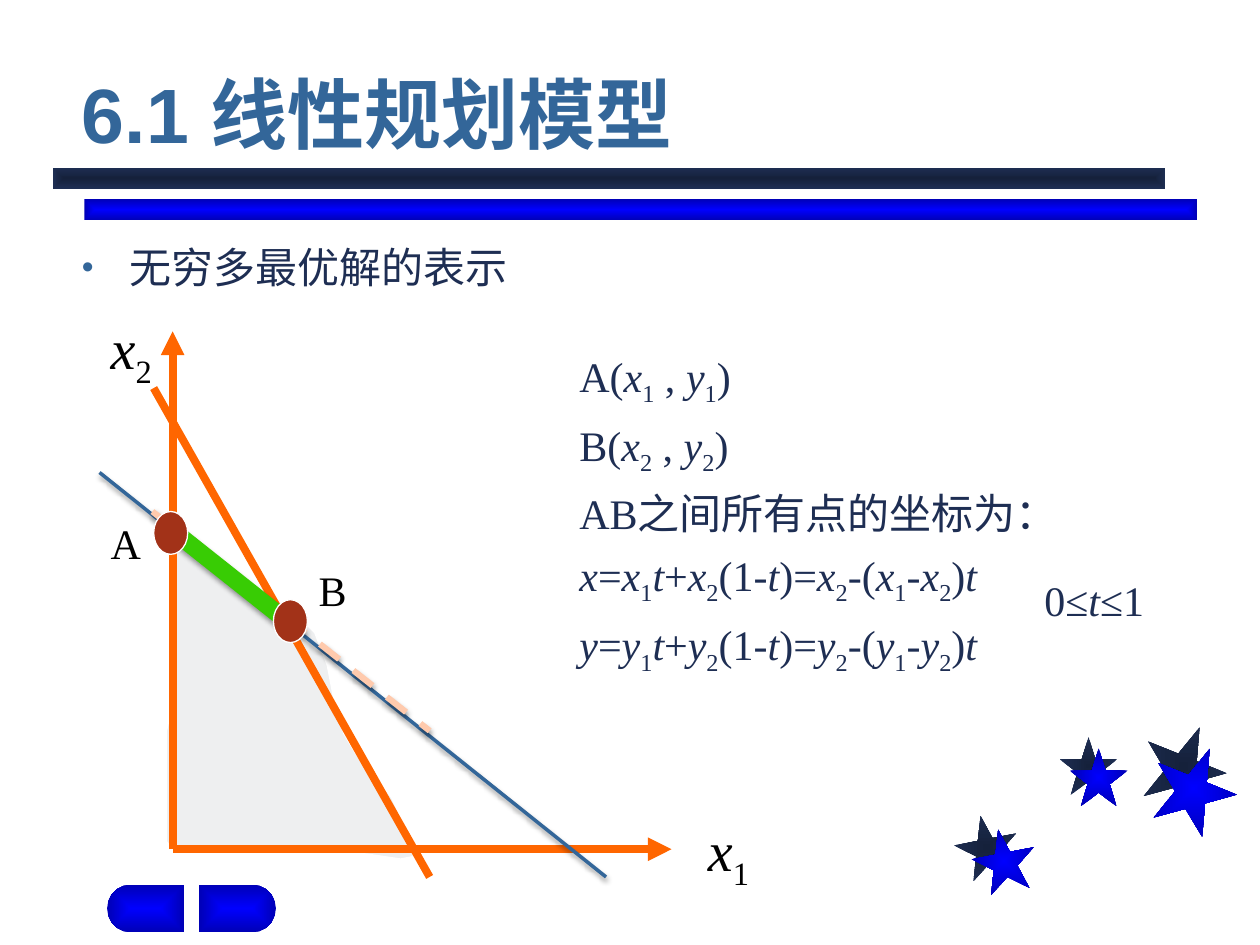
from dataclasses import dataclass
from itertools import groupby
from math import cos, pi, sin

from lxml.etree import SubElement as Sub
from pptx import Presentation
from pptx.dml.color import RGBColor as Rgb
from pptx.enum.dml import MSO_LINE as Dash
from pptx.enum.shapes import MSO_CONNECTOR as Link, MSO_SHAPE as Kind
from pptx.enum.text import MSO_ANCHOR as Anchor, MSO_AUTO_SIZE as Fit, PP_ALIGN as Align
from pptx.oxml.ns import qn
from pptx.util import Inches, Pt


@dataclass(frozen=True)
class Theme:
    """Colours, fonts and type sizes."""
    navy: str = "1E2E53"
    night: tuple = ("15213B", "1E2E53")
    royal: tuple = ("0000FF", "0000B6")
    steel: str = "336699"
    orange: str = "FF6600"
    peach: str = "FFCAAD"
    green: str = "38CC04"
    brick: str = "A23218"
    mist: str = "EEEFF0"
    white: str = "FFFFFF"
    black: str = "000000"
    sans: str = "Arial"
    serif: str = "Times New Roman"
    head: int = 44
    axis: int = 32
    body: int = 24


def tint(color, code):
    """Set a colour from its hex code."""
    color.rgb = Rgb.from_string(code)


def runs(text):
    """Split text into plain, italic (x, y, t) and lowered (_n) pieces."""
    marks, low = [], False
    for char in text:
        if char == "_":
            low = True
            continue
        marks.append((char, "low" if low else "var" if char in "xyt" else ""))
        low = False
    for kind, group in groupby(marks, key=lambda mark: mark[1]):
        yield "".join(char for char, _ in group), kind


def write(frame, text, size, color, font, bold=False, lead=None, gap=0, dot=None):
    """Fill a text frame, one paragraph a line."""
    for num, line in enumerate(text.split("\n")):
        para = frame.add_paragraph() if num else frame.paragraphs[0]
        para.alignment = Align.LEFT
        if lead:
            para.line_spacing = lead
        para.space_before = Pt(gap if num else 0)
        if dot:
            props = para._p.get_or_add_pPr()
            props.set("marL", str(Inches(0.38)))
            props.set("indent", str(-Inches(0.38)))
            Sub(Sub(props, qn("a:buClr")), qn("a:srgbClr"), val=dot)
            Sub(props, qn("a:buSzPct"), val="80000")
            Sub(props, qn("a:buChar"), char="•")
        for part, kind in runs(line):
            run = para.add_run()
            run.text = part
            run.font.name, run.font.size = font, Pt(size)
            run.font.bold, run.font.italic = bold, kind == "var"
            tint(run.font.color, color)
            if kind == "low":
                run._r.get_or_add_rPr().set("baseline", "-25000")


class Board:
    """Style and current slide, on a grid of 10 columns by 7.5 rows."""

    def __init__(self, deck, theme):
        """Add a slide and keep its grid."""
        self.theme = theme
        self.slide = deck.slides.add_slide(deck.slide_layouts[1])
        self.shapes = self.slide.shapes
        self.col, self.row = deck.slide_width / 10, deck.slide_height / 7.5

    def at(self, *cells):
        """Turn column and row pairs into lengths."""
        return [round(cell * (self.row if num % 2 else self.col))
                for num, cell in enumerate(cells)]

    def paint(self, shape, fill, edge=None, width=0.75):
        """Fill a shape flat, or from its centre outwards."""
        shape.shadow.inherit = False
        if isinstance(fill, tuple):
            shape.fill.gradient()
            for stop, code in zip(shape.fill.gradient_stops, fill):
                tint(stop.color, code)
            grad = shape._element.spPr.find(qn("a:gradFill"))
            grad.remove(grad.find(qn("a:lin")))
            way = Sub(grad, qn("a:path"), path="rect")
            Sub(way, qn("a:fillToRect"), l="50000", t="50000", r="50000", b="50000")
        else:
            shape.fill.solid()
            tint(shape.fill.fore_color, fill)
        if edge:
            tint(shape.line.color, edge)
            shape.line.width = Pt(width)
        else:
            shape.line.fill.background()

    def shape(self, kind, box, fill, turn=0, edge=None):
        """Draw a preset shape."""
        item = self.shapes.add_shape(kind, *self.at(*box))
        item.rotation = turn
        self.paint(item, fill, edge)

    def free(self, dots, fill, edge=None):
        """Draw a closed outline."""
        spots = [self.at(*dot) for dot in dots]
        pen = self.shapes.build_freeform(*spots[0])
        pen.add_line_segments(spots[1:], close=True)
        self.paint(pen.convert_to_shape(), fill, edge, 1)

    def line(self, start, end, color, width, dash=None, arrow=False, shade=False):
        """Draw a line, with an arrowhead or a soft shadow if asked."""
        item = self.shapes.add_connector(Link.STRAIGHT, *self.at(*start, *end))
        tint(item.line.color, color)
        item.line.width = Pt(width)
        if dash:
            item.line.dash_style = dash
        props = item._element.spPr
        if arrow:
            Sub(props.find(qn("a:ln")), qn("a:tailEnd"), type="triangle")
        glow = Sub(props, qn("a:effectLst"))
        if shade:
            cast = Sub(glow, qn("a:outerShdw"), blurRad=str(Pt(3.1)),
                       dist=str(Pt(1.6)), dir="5400000", rotWithShape="0")
            tone = Sub(cast, qn("a:srgbClr"), val=self.theme.black)
            Sub(tone, qn("a:alpha"), val="38000")

    def text(self, box, text, wrap=True, **form):
        """Add a text box."""
        frame = self.shapes.add_textbox(*self.at(*box)).text_frame
        frame.word_wrap = wrap
        write(frame, text, **form)

    def hold(self, num, box, text, anchor, **form):
        """Move and fill a placeholder."""
        item = self.slide.placeholders[num]
        item.left, item.top, item.width, item.height = self.at(*box)
        frame = item.text_frame
        frame.auto_size, frame.vertical_anchor = Fit.NONE, anchor
        write(frame, text, **form)


REGION = [
    (1.36, 4.23), (1.36, 5.63), (1.32, 5.8), (1.32, 6.68), (1.36, 6.73),
    (2.2, 6.73), (2.55, 6.75), (2.91, 6.78), (3.18, 6.82), (3.28, 6.8),
    (3.28, 6.71), (3.21, 6.54), (3.11, 6.33), (2.98, 6.16), (2.83, 5.99),
    (2.73, 5.82), (2.65, 5.54), (2.6, 5.28), (2.5, 5.02), (2.42, 4.94),
    (2.33, 4.9), (2.17, 4.85), (1.98, 4.75), (1.82, 4.64), (1.64, 4.49),
    (1.59, 4.4), (1.5, 4.31), (1.47, 4.23), (1.42, 4.21)]

POINTS = """A(x_1 , y_1)
B(x_2 , y_2)
AB之间所有点的坐标为：
x=x_1t+x_2(1-t)=x_2-(x_1-x_2)t
y=y_1t+y_2(1-t)=y_2-(y_1-y_2)t"""


def frame(board):
    """Draw the stars, bars and rounded tabs."""
    look = board.theme
    stars = {look.night: [(7.58, 6.47, 0.5, 349), (8.41, 5.85, 0.46, 0), (9.06, 5.75, 0.67, 22)],
             look.royal: [(7.72, 6.58, 0.5, 349), (8.49, 5.94, 0.46, 0), (9.14, 5.92, 0.67, 22)]}
    for fill, group in stars.items():
        for left, top, size, turn in group:
            board.shape(Kind.STAR_5_POINT, (left, top, size, size), fill, turn)
    for left, top, fill in [(0.67, 1.58, look.royal), (0.42, 1.33, look.night)]:
        board.shape(Kind.RECTANGLE, (left, top, 8.83, 0.17), fill)
    arc = [(-0.48 - 0.19 * sin(pi * n / 10), 7.21 - 0.19 * cos(pi * n / 10)) for n in range(11)]
    tab = [(-0.06, 7.02), *arc, (-0.06, 7.4)]
    for side in (1, -1):
        board.free([(1.52 + side * x, y) for x, y in tab], look.royal)


def chart(board):
    """Draw the region, axes, lines and marked points."""
    look = board.theme
    root = (1.37, 6.74)
    board.free(REGION, look.mist, look.white)
    for tip in [(1.37, 2.63), (5.33, 6.74)]:
        board.line(root, tip, look.orange, 4.5, arrow=True)
    board.line((1.22, 3.08), (3.41, 6.96), look.orange, 4.5)
    board.line((0.79, 3.75), (4.81, 6.96), look.steel, 2, shade=True)
    board.line((1.21, 4.06), (3.41, 5.8), look.peach, 3.5, Dash.DASH, shade=True)
    board.line((1.37, 4.21), (2.29, 4.94), look.green, 10, shade=True)
    ink = dict(color=look.black, font=look.serif)
    for left, top, name in [(5.52, 6.42, "x_1"), (0.78, 2.44, "x_2")]:
        board.text((left, top, 0.58, 0.64), name, size=look.axis, **ink)
    for left, top in [(1.22, 4.06), (2.17, 4.76)]:
        board.shape(Kind.OVAL, (left, top, 0.27, 0.34), look.brick, edge=look.white)
    for left, top, name in [(0.78, 4.06, "A"), (2.43, 4.43, "B")]:
        board.text((left, top, 0.43, 0.5), name, wrap=False, size=look.body, **ink)


def main():
    """Build and save the slide."""
    deck = Presentation()
    deck.slide_width, deck.slide_height = Inches(10), Inches(7.5)
    look = Theme()
    board = Board(deck, look)
    frame(board)
    board.hold(0, (0.55, 0.39, 8.86, 0.92), "6.1 线性规划模型", Anchor.BOTTOM,
               size=look.head, color=look.steel, font=look.sans, bold=True)
    prose = dict(size=look.body, color=look.navy, lead=1.2, gap=0.2)
    board.hold(1, (0.55, 1.79, 8.5, 0.65), "无穷多最优解的表示", Anchor.TOP,
               font=look.sans, dot=look.steel, **prose)
    chart(board)
    board.text((4.5, 2.64, 4.06, 3.17), POINTS, font=look.serif, **prose)
    board.text((8.19, 4.43, 1.06, 0.65), "0≤t≤1", font=look.serif, **prose)
    deck.save("out.pptx")


if __name__ == "__main__":
    main()
